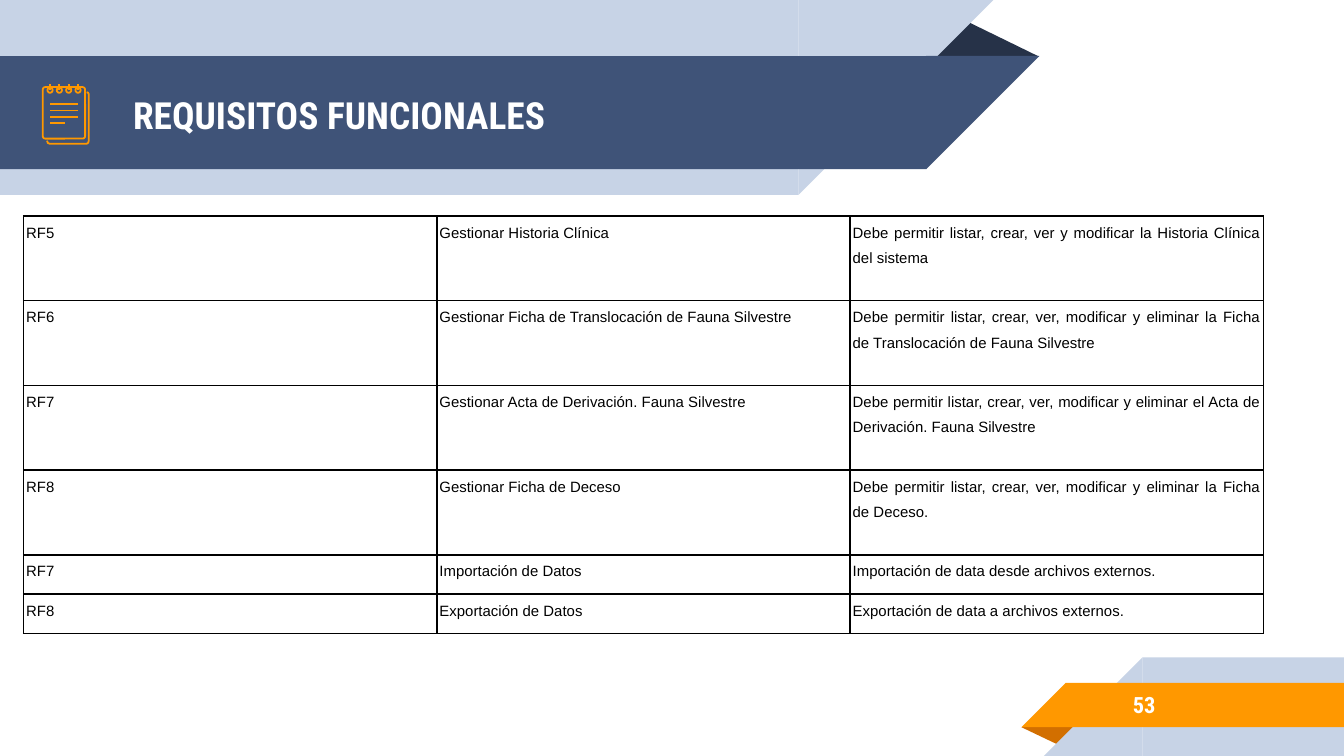
"""Build the functional requirements slide with its ribbons, notebook icon and table."""
from dataclasses import dataclass

from lxml import etree
from pptx import Presentation
from pptx.dml.color import RGBColor
from pptx.enum.shapes import MSO_CONNECTOR, MSO_SHAPE
from pptx.enum.text import MSO_ANCHOR, MSO_AUTO_SIZE, PP_ALIGN
from pptx.oxml.ns import qn
from pptx.util import Pt

RECTANGLE = MSO_SHAPE.RECTANGLE
RIGHT_TRIANGLE = MSO_SHAPE.RIGHT_TRIANGLE
TRIANGLE = MSO_SHAPE.ISOSCELES_TRIANGLE
ROUNDED = MSO_SHAPE.ROUNDED_RECTANGLE
OVAL = MSO_SHAPE.OVAL
STRAIGHT = MSO_CONNECTOR.STRAIGHT
MIDDLE = MSO_ANCHOR.MIDDLE
LEFT = PP_ALIGN.LEFT
JUSTIFY = PP_ALIGN.JUSTIFY
NO_AUTOFIT = MSO_AUTO_SIZE.NONE


@dataclass(frozen=True)
class Theme:
    navy: str = "3F5378"
    dark_navy: str = "263248"
    pale_blue: str = "C7D3E6"
    orange: str = "FF9800"
    dark_orange: str = "D26F00"
    white: str = "FFFFFF"
    black: str = "000000"
    heading_font: str = "Roboto Condensed"
    table_font: str = "Arial"
    title_size: int = 20
    number_size: int = 12
    table_size: int = 8
    icon_line: float = 0.96


theme = Theme()


def write_heading(shape, text, size):
    frame = shape.text_frame
    frame.text = text
    frame.word_wrap = True
    frame.auto_size = NO_AUTOFIT
    frame.vertical_anchor = MIDDLE
    frame.margin_left = frame.margin_right = Pt(7.2)
    frame.margin_top = frame.margin_bottom = Pt(7.2)
    paragraph = frame.paragraphs[0]
    paragraph.alignment = LEFT
    font = paragraph.runs[0].font
    font.name = theme.heading_font
    font.size = Pt(size)
    font.bold = True
    font.color.rgb = RGBColor.from_string(theme.white)


def outline_icon(shape):
    shape.line.color.rgb = RGBColor.from_string(theme.orange)
    shape.line.width = Pt(theme.icon_line)


presentation = Presentation()
presentation.slide_width = Pt(720)
presentation.slide_height = Pt(405)
slide = presentation.slides.add_slide(presentation.slide_layouts[5])
shapes = slide.shapes

ribbons = [
    (TRIANGLE, 495.4, 10.1, 61.2, 20.2, theme.dark_navy, 0, False),
    (RECTANGLE, 0, 0, 427.7, 104.4, theme.pale_blue, 180, True),
    (RIGHT_TRIANGLE, 427.7, 0, 104.4, 104.4, theme.pale_blue, 180, True),
    (RECTANGLE, 0, 30, 496.2, 60.6, theme.navy, 180, True),
    (RIGHT_TRIANGLE, 496.2, 30, 60.6, 60.6, theme.navy, 180, True),
    (TRIANGLE, 547.2, 389.6, 31, 10, theme.dark_orange, 180, False),
    (RECTANGLE, 612, 352.2, 108, 52.8, theme.pale_blue, 0, True),
    (RIGHT_TRIANGLE, 559.2, 352.2, 52.8, 52.8, theme.pale_blue, 0, True),
    (RECTANGLE, 571, 365.8, 149, 23.8, theme.orange, 0, True),
    (RIGHT_TRIANGLE, 547.2, 365.8, 23.8, 23.8, theme.orange, 0, True),
]
for kind, left, top, width, height, color, rotation, flipped in ribbons:
    ribbon = shapes.add_shape(kind, Pt(left), Pt(top), Pt(width), Pt(height))
    ribbon.shadow.inherit = False
    ribbon.fill.solid()
    ribbon.fill.fore_color.rgb = RGBColor.from_string(color)
    ribbon.line.fill.background()
    ribbon.rotation = rotation
    if flipped:
        ribbon._element.spPr.xfrm.set("flipH", "1")
    if kind == TRIANGLE:
        ribbon.adjustments[0] = 0.324

back_page = [(25.2, 75.4), (25.6, 76.6), (26.6, 77), (46.4, 77), (47.2, 76.6),
             (47.5, 75.6), (47.5, 50.4), (47.2, 49.7), (46.4, 49.4)]
page_points = [(Pt(x), Pt(y)) for x, y in back_page]
builder = shapes.build_freeform(*page_points[0])
builder.add_line_segments(page_points[1:], close=False)
notebook_parts = [builder.convert_to_shape()]

front_page = shapes.add_shape(ROUNDED, Pt(22.9), Pt(46.7), Pt(22.7), Pt(27.6))
front_page.adjustments[0] = 0.06
notebook_parts.append(front_page)

ring_centers = [26.8 + 5 * index for index in range(4)]
for center in ring_centers:
    notebook_parts.append(
        shapes.add_shape(OVAL, Pt(center - 1.4), Pt(46.9), Pt(2.8), Pt(2.8)))
for part in notebook_parts:
    part.shadow.inherit = False
    part.fill.background()
    outline_icon(part)

written_lines = [(26.8, y, x, y) for x, y in
                 [(34.7, 65.8), (41.8, 62.5), (41.8, 59.2), (41.8, 55.9)]]
ring_pins = [(center, 45.2, center, 48.2) for center in ring_centers]
for ends in written_lines + ring_pins:
    stroke = shapes.add_connector(STRAIGHT, *[Pt(value) for value in ends])
    outline_icon(stroke)
    etree.SubElement(stroke._element.spPr, qn("a:effectLst"))

title = shapes.title
title.left, title.top, title.width, title.height = Pt(64.1), Pt(31), Pt(414), Pt(60.5)
write_heading(title, "REQUISITOS FUNCIONALES", theme.title_size)
shapes._spTree.append(title._element)

page_number = shapes.add_textbox(Pt(599.8), Pt(365), Pt(117.4), Pt(25.2))
write_heading(page_number, "53", theme.number_size)

requirements = [
    ("RF5", "Gestionar Historia Clínica",
     "Debe permitir listar, crear, ver y modificar la Historia Clínica del sistema"),
    ("RF6", "Gestionar Ficha de Translocación de Fauna Silvestre",
     "Debe permitir listar, crear, ver, modificar y eliminar la Ficha de Translocación de Fauna Silvestre"),
    ("RF7", "Gestionar Acta de Derivación. Fauna Silvestre",
     "Debe permitir listar, crear, ver, modificar y eliminar el Acta de Derivación. Fauna Silvestre"),
    ("RF8", "Gestionar Ficha de Deceso",
     "Debe permitir listar, crear, ver, modificar y eliminar la Ficha de Deceso."),
    ("RF7", "Importación de Datos", "Importación de data desde archivos externos."),
    ("RF8", "Exportación de Datos", "Exportación de data a archivos externos."),
]
row_heights = [45.4] * 4 + [21.1] * 2
column_width = 221.4
table = shapes.add_table(len(requirements), 3, Pt(12.6), Pt(115.7),
                         Pt(3 * column_width), Pt(sum(row_heights))).table
table.first_row = False
table.horz_banding = False
for column in table.columns:
    column.width = Pt(column_width)
for row, height, texts in zip(table.rows, row_heights, requirements):
    row.height = Pt(height)
    for cell, text in zip(row.cells, texts):
        cell.margin_left = cell.margin_right = Pt(1.4)
        cell.margin_top = cell.margin_bottom = Pt(0)
        properties = cell._tc.get_or_add_tcPr()
        for side in ("a:lnL", "a:lnR", "a:lnT", "a:lnB"):
            border = etree.SubElement(properties, qn(side), w=str(Pt(1)))
            border_fill = etree.SubElement(border, qn("a:solidFill"))
            etree.SubElement(border_fill, qn("a:srgbClr"), val=theme.black)
        cell.fill.background()
        cell.text_frame.text = text
        paragraph = cell.text_frame.paragraphs[0]
        paragraph.alignment = JUSTIFY
        paragraph.line_spacing = 1.5
        font = paragraph.runs[0].font
        font.name = theme.table_font
        font.size = Pt(theme.table_size)
        font.color.rgb = RGBColor.from_string(theme.black)

presentation.save("out.pptx")
